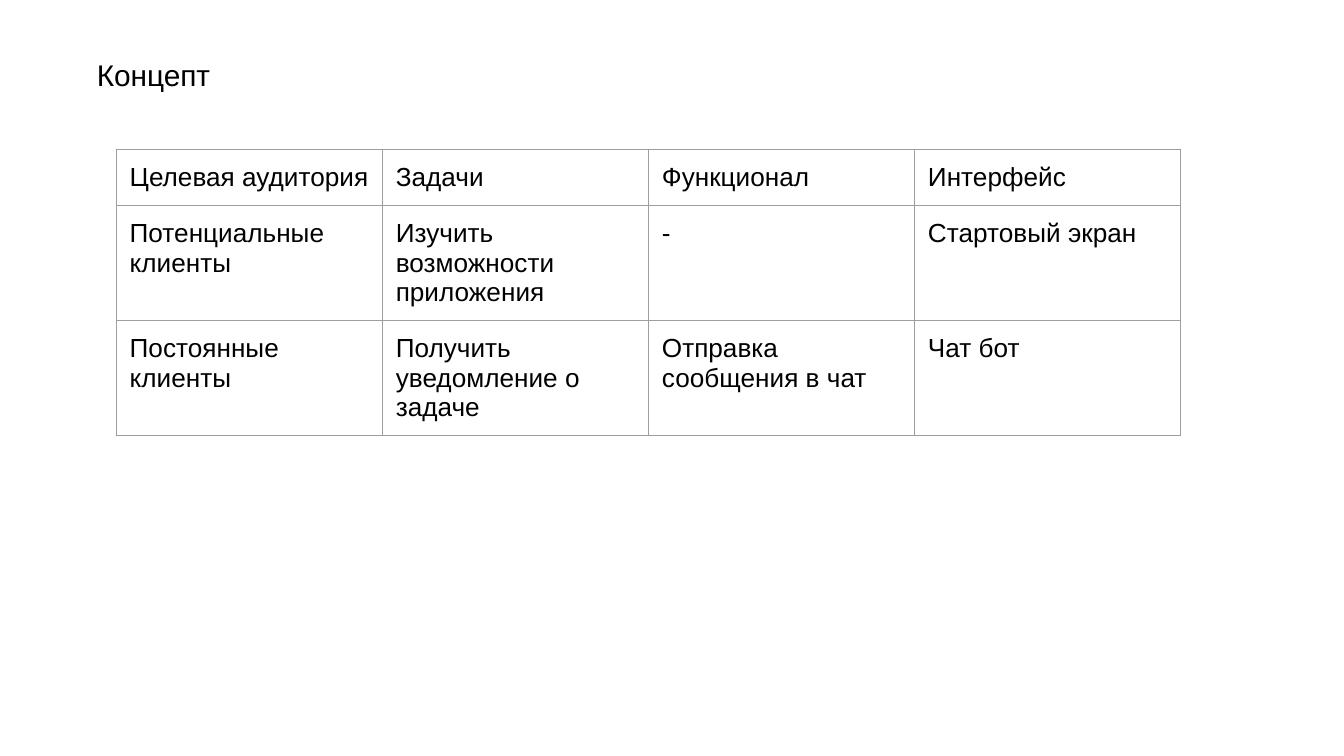
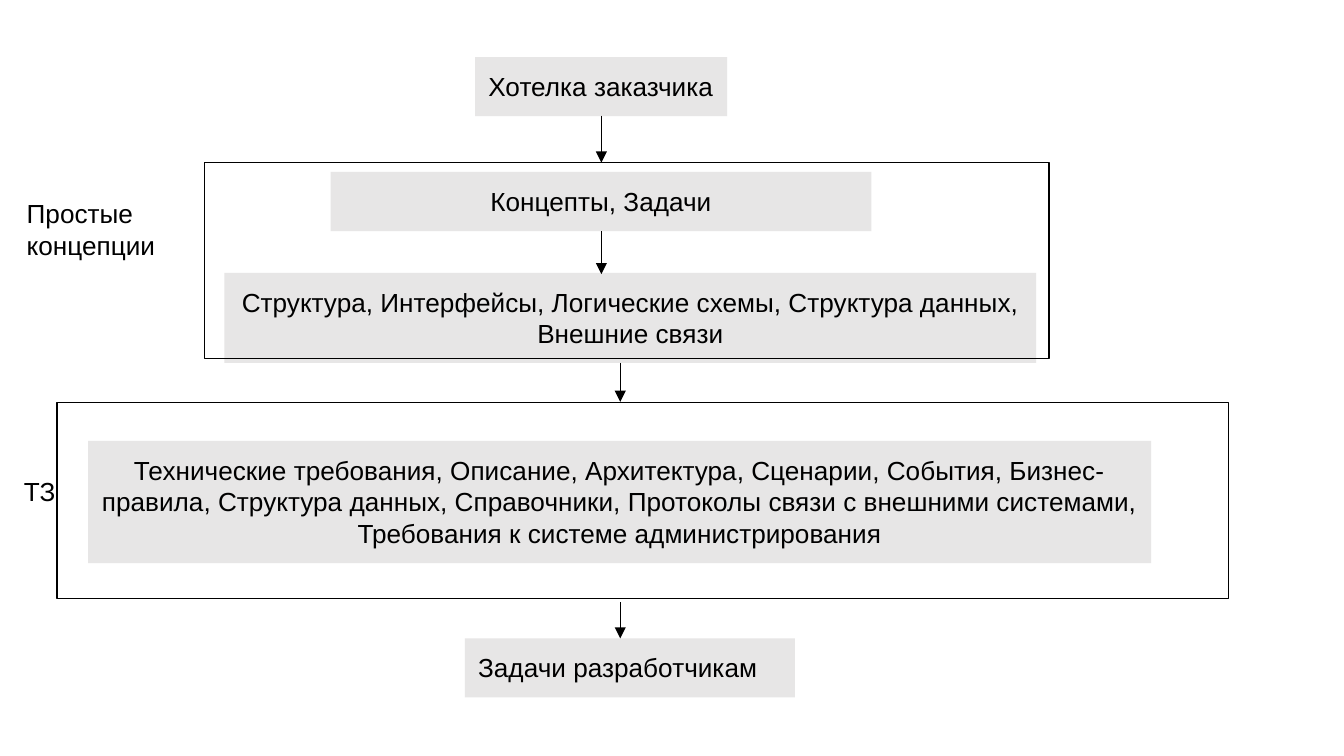
"""Build two slides: a concept table and the path from a client's wish to developer tasks."""
from dataclasses import dataclass

from lxml.etree import SubElement
from pptx import Presentation
from pptx.dml.color import RGBColor
from pptx.enum.shapes import MSO_CONNECTOR, MSO_SHAPE
from pptx.enum.text import MSO_ANCHOR, MSO_AUTO_SIZE, PP_ALIGN
from pptx.oxml.ns import qn
from pptx.util import Pt


@dataclass(frozen=True)
class Theme:
    font: str = "Arial"
    ink: RGBColor = RGBColor(0x00, 0x00, 0x00)
    panel: RGBColor = RGBColor(0xE7, 0xE6, 0xE6)
    grid: str = "9E9E9E"
    title_size: int = 16
    body_size: int = 14
    line_width: float = 0.75


THEME = Theme()
PX = 4572
INSET = 20 * PX


def px(*lengths):
    return [length * PX for length in lengths]


def write(frame, text, size=THEME.body_size, align=PP_ALIGN.LEFT):
    frame.word_wrap = True
    frame.auto_size = MSO_AUTO_SIZE.NONE
    frame.vertical_anchor = MSO_ANCHOR.TOP
    frame.margin_left = frame.margin_right = INSET
    frame.margin_top = frame.margin_bottom = INSET
    frame.text = text
    paragraph = frame.paragraphs[0]
    paragraph.alignment = align
    font = paragraph.runs[0].font
    font.name = THEME.font
    font.size = Pt(size)
    font.color.rgb = THEME.ink


deck = Presentation()
deck.slide_width, deck.slide_height = px(2000, 1125)
title_only, blank = deck.slide_layouts[5], deck.slide_layouts[6]

concept = deck.slides.add_slide(title_only)
heading = concept.shapes.title
heading.left, heading.top, heading.width, heading.height = px(124, 64, 1130, 94)
write(heading.text_frame, "Концепт", size=THEME.title_size)

audiences = [
    ["Целевая аудитория", "Задачи", "Функционал", "Интерфейс"],
    ["Потенциальные клиенты", "Изучить возможности приложения", "-", "Стартовый экран"],
    ["Постоянные клиенты", "Получить уведомление о задаче", "Отправка сообщения в чат", "Чат бот"],
]
matrix = concept.shapes.add_table(3, 4, *px(173, 222, 1584, 252)).table
matrix.first_row = matrix.horz_banding = False
for row, entries in zip(matrix.rows, audiences):
    row.height = 84 * PX
    for cell, entry in zip(row.cells, entries):
        write(cell.text_frame, entry)
        cell.margin_left = cell.margin_right = INSET
        cell.margin_top = cell.margin_bottom = INSET
        cell.vertical_anchor = MSO_ANCHOR.TOP
        properties = cell._tc.get_or_add_tcPr()
        for side in ("a:lnL", "a:lnR", "a:lnT", "a:lnB"):
            border = SubElement(properties, qn(side), w=str(Pt(THEME.line_width)))
            SubElement(SubElement(border, qn("a:solidFill")), qn("a:srgbClr"), val=THEME.grid)
        cell.fill.background()

process = deck.slides.add_slide(blank)
stages = [
    ("Хотелка заказчика", PP_ALIGN.LEFT, (707, 85, 375, 88)),
    ("Концепты, Задачи", PP_ALIGN.CENTER, (492, 256, 805, 88)),
    ("Структура, Интерфейсы, Логические схемы, Структура данных, Внешние связи",
     PP_ALIGN.CENTER, (334, 406, 1208, 134)),
    ("Технические требования, Описание, Архитектура, Сценарии, События, Бизнес-правила, "
     "Структура данных, Справочники, Протоколы связи с внешними системами, "
     "Требования к системе администрирования", PP_ALIGN.CENTER, (131, 656, 1582, 182)),
    ("Задачи разработчикам", PP_ALIGN.LEFT, (692, 950, 491, 88)),
]
for wording, align, area in stages:
    stage = process.shapes.add_shape(MSO_SHAPE.RECTANGLE, *px(*area))
    stage.shadow.inherit = False
    stage.fill.solid()
    stage.fill.fore_color.rgb = THEME.panel
    stage.line.fill.background()
    write(stage.text_frame, wording, align=align)

for area in [(85, 599, 1743, 292), (304, 242, 1257, 292)]:
    phase = process.shapes.add_shape(MSO_SHAPE.RECTANGLE, *px(*area))
    phase.shadow.inherit = False
    phase.fill.background()
    phase.line.color.rgb = THEME.ink
    phase.line.width = Pt(THEME.line_width)

for wording, area in [("Простые концепции", (20, 274, 250, 134)), ("ТЗ", (16, 688, 116, 88))]:
    write(process.shapes.add_textbox(*px(*area)).text_frame, wording)

for x, start, end in [(895, 172, 242), (895, 344, 408), (923, 540, 598), (923, 896, 950)]:
    step = process.shapes.add_connector(MSO_CONNECTOR.STRAIGHT, *px(x, start, x, end))
    step.line.color.rgb = THEME.ink
    step.line.width = Pt(THEME.line_width)
    SubElement(step.line._get_or_add_ln(), qn("a:tailEnd"), type="triangle")
    SubElement(step._element.spPr, qn("a:effectLst"))

deck.save("out.pptx")
